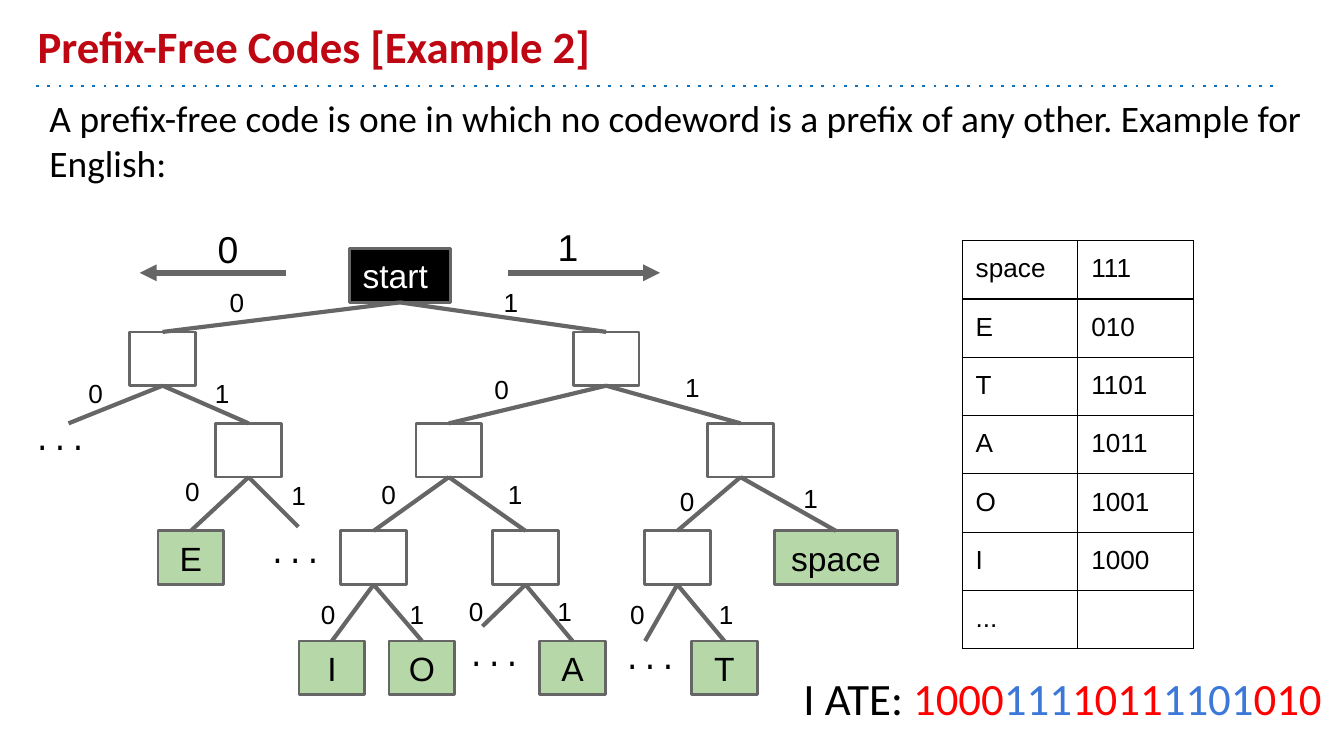
from itertools import cycle
from lxml.etree import SubElement
from pptx import Presentation
from pptx.dml.color import RGBColor
from pptx.enum.shapes import MSO_CONNECTOR, MSO_SHAPE
from pptx.enum.text import MSO_ANCHOR, PP_ALIGN
from pptx.oxml.ns import qn
from pptx.util import Inches, Pt

THEME = {
    "black": "000000", "white": "FFFFFF", "gray": "666666", "green": "B6D7A8",
    "title": "BE0712", "rule": "1072BD", "red": "FF0000", "blue": "3C78D8",
    "sans": "Arial", "head": "Calibri", "mono": "Courier New",
    "big": 24, "body": 20, "node": 18, "dots": 16, "small": 14,
}
RGB = {k: RGBColor.from_string(v) for k, v in THEME.items()
       if isinstance(v, str) and len(v) == 6 and k not in ("sans", "head", "mono")}

prs = Presentation()
prs.slide_width, prs.slide_height = Inches(10), Inches(5.625)
U = prs.slide_width // 100  # one column of a 100-column grid; rows are as high
s = prs.slides.add_slide(prs.slide_layouts[5])


def write(tf, runs, size, font="sans", bold=False, anchor=MSO_ANCHOR.TOP,
          align=PP_ALIGN.LEFT, wrap=True):
    """Fill a text frame with one paragraph of (text, colour name) runs."""
    frame = dict.fromkeys(("margin_left", "margin_top", "margin_right", "margin_bottom"), U)
    frame.update(word_wrap=wrap, vertical_anchor=anchor)
    for name, value in frame.items():
        setattr(tf, name, value)
    p = tf.paragraphs[0]
    p.alignment = align
    for text, color in runs:
        r = p.add_run()
        r.text = text
        for name, value in {"size": Pt(THEME[size]), "name": THEME[font], "bold": bold}.items():
            setattr(r.font, name, value)
        r.font.color.rgb = RGB[color]
    return p


def line(start, end, width, color="gray", **extras):
    """Draw a line between grid points; extras maps a:ln children to their value."""
    c = s.shapes.add_connector(MSO_CONNECTOR.STRAIGHT, *(int(v * U) for v in (*start, *end)))
    c.line.color.rgb, c.line.width = RGB[color], Pt(width)
    for tag, value in extras.items():
        attr = "val" if tag == "prstDash" else "type"
        SubElement(c.line._ln, qn("a:" + tag)).set(attr, value)
    SubElement(c._element.spPr, qn("a:effectLst"))
    return c


# Title, rule and definition
line((2.7, 6.4), (95, 6.4), 1.5, "rule", prstDash="dot")
title = s.shapes.title
for name, value in {"left": 1.8, "top": 1, "width": 90, "height": 5.4}.items():
    setattr(title, name, int(value * U))
write(title.text_frame, [("Prefix-Free Codes [Example 2]", "title")], "big", "head",
      bold=True, anchor=MSO_ANCHOR.BOTTOM)

body = s.shapes.add_textbox(*(int(v * U) for v in (2.7, 6.1, 96.4, 9)))
p = write(body.text_frame, [("A prefix-free code is one in which no codeword is a prefix "
                             "of any other. Example for English:", "black")], "body", "head")
p.space_before = Pt(6)

# Code table
codes = {"space": "111", "E": "010", "T": "1101", "A": "1011", "O": "1001", "I": "1000",
         "...": ""}
table = s.shapes.add_table(len(codes), 2, *(int(v * U) for v in (71.6, 17.9, 17.2, 30))).table
table.first_row = table.horz_banding = False
for col in table.columns:
    col.width = int(8.6 * U)
for i, (row, entry) in enumerate(zip(table.rows, codes.items())):
    row.height = int((4.3 if i else 4.2) * U)
    for cell, text in zip(row.cells, entry):
        p = write(cell.text_frame, [(text, "black")] if text else [], "small")
        if not text:
            p._p.get_or_add_endParaRPr().set("sz", str(THEME["small"] * 100))
        for side in ("left", "top", "right", "bottom"):
            setattr(cell, "margin_" + side, U)
        for tag in ("lnL", "lnR", "lnT", "lnB"):
            ln = SubElement(cell._tc.get_or_add_tcPr(), qn("a:" + tag), w=str(Pt(0.75)))
            SubElement(SubElement(ln, qn("a:solidFill")), qn("a:srgbClr"), val=THEME["black"])
        cell.fill.background()

# Encoded message, one colour per letter in turn
colors = cycle(("red", "blue"))
message = s.shapes.add_textbox(*(int(v * U) for v in (58.8, 48.5, 41.2, 6.8)))
write(message.text_frame,
      [("I ATE: ", "black")] + [(codes["space" if ch == " " else ch], next(colors))
                                for ch in "I ATE"],
      "big", "head", anchor=MSO_ANCHOR.MIDDLE, wrap=False)

# Code tree: each node is keyed by its prefix, whose length is its level
level_top = (18.5, 24.7, 31.5, 39.5, 47.7)
node_height = 4
centers = {"": 29.75, "0": 12.1, "1": 45.1, "01": 18.5, "10": 33.4, "11": 55.1,
           "010": 14.2, "100": 27.8, "101": 39.1, "110": 50.4, "111": 62.2,
           "1000": 24.7, "1001": 31.4, "1011": 42.6, "1101": 53.9}
letters = {code: letter for letter, code in codes.items() if code}
nodes = {}
for key, x in centers.items():
    text = letters.get(key, "" if key else "start")
    width = {"start": 7.5, "space": 9.2}.get(text, 4.9)
    sp = s.shapes.add_shape(MSO_SHAPE.RECTANGLE, *(
        int(v * U) for v in (x - width / 2, level_top[len(key)], width, node_height)))
    sp.shadow.inherit = False
    sp.fill.solid()
    sp.fill.fore_color.rgb = RGB["green" if key in letters else "white" if key else "black"]
    sp.line.color.rgb, sp.line.width = RGB["gray"], Pt(1.5)
    if text:
        write(sp.text_frame, [(text, "black" if key else "white")], "node",
              anchor=MSO_ANCHOR.MIDDLE, align=PP_ALIGN.CENTER if key else PP_ALIGN.LEFT,
              wrap=text != "space")
    nodes[key] = sp

# Branches that go on: where the edge ends, and the corner of the dots
open_ends = {"00": ((5.1, 31.5), (1.5, 30.3)), "011": ((22.2, 39.2), (19, 38.7)),
             "1010": ((35.9, 46.6), (33.8, 46.4)), "1100": ((48, 47.7), (45.4, 46.6))}
# Corner of the bit label beside the edge that leads to each prefix
bit_labels = {"0": (16.1, 20.3), "1": (36.5, 20.3), "00": (5.6, 27.1), "01": (15, 27.1),
              "10": (35.8, 26.8), "11": (50, 26.6), "010": (12.8, 34.4), "011": (20.7, 34.7),
              "100": (27.4, 34.6), "101": (36.8, 34.6), "110": (49.6, 35.1),
              "111": (58.8, 34.9), "1000": (22.9, 43.5), "1001": (29.5, 43.5),
              "1010": (33.9, 43.3), "1011": (40.5, 43.3), "1100": (45.9, 43.5),
              "1101": (52.5, 43.5)}
for key, corner in bit_labels.items():
    parent = key[:-1]
    start = centers[parent], level_top[len(parent)] + node_height
    end = open_ends[key][0] if key in open_ends else (centers[key], level_top[len(key)])
    edge = line(start, end, 2.25)
    edge.begin_connect(nodes[parent], 2)
    if key in nodes:
        edge.end_connect(nodes[key], 0)
    else:
        dots = s.shapes.add_textbox(*(int(v * U) for v in (*open_ends[key][1], 7.6, 4.7)))
        write(dots.text_frame, [("...", "black")], "dots", "mono")
    label = s.shapes.add_textbox(*(int(v * U) for v in (*corner, 5.3, 3.2)))
    write(label.text_frame, [(key[-1], "black")], "small")

# Direction arrows
for bit, x1, x2, corner in (("0", 21.3, 10.4, (15.2, 15.8)), ("1", 37.8, 49.1, (40.5, 15.7))):
    line((x1, 20.3), (x2, 20.3), 3, tailEnd="triangle")
    label = s.shapes.add_textbox(*(int(v * U) for v in (*corner, 7.5, 4)))
    write(label.text_frame, [(bit, "black")], "body")

prs.save("out.pptx")
